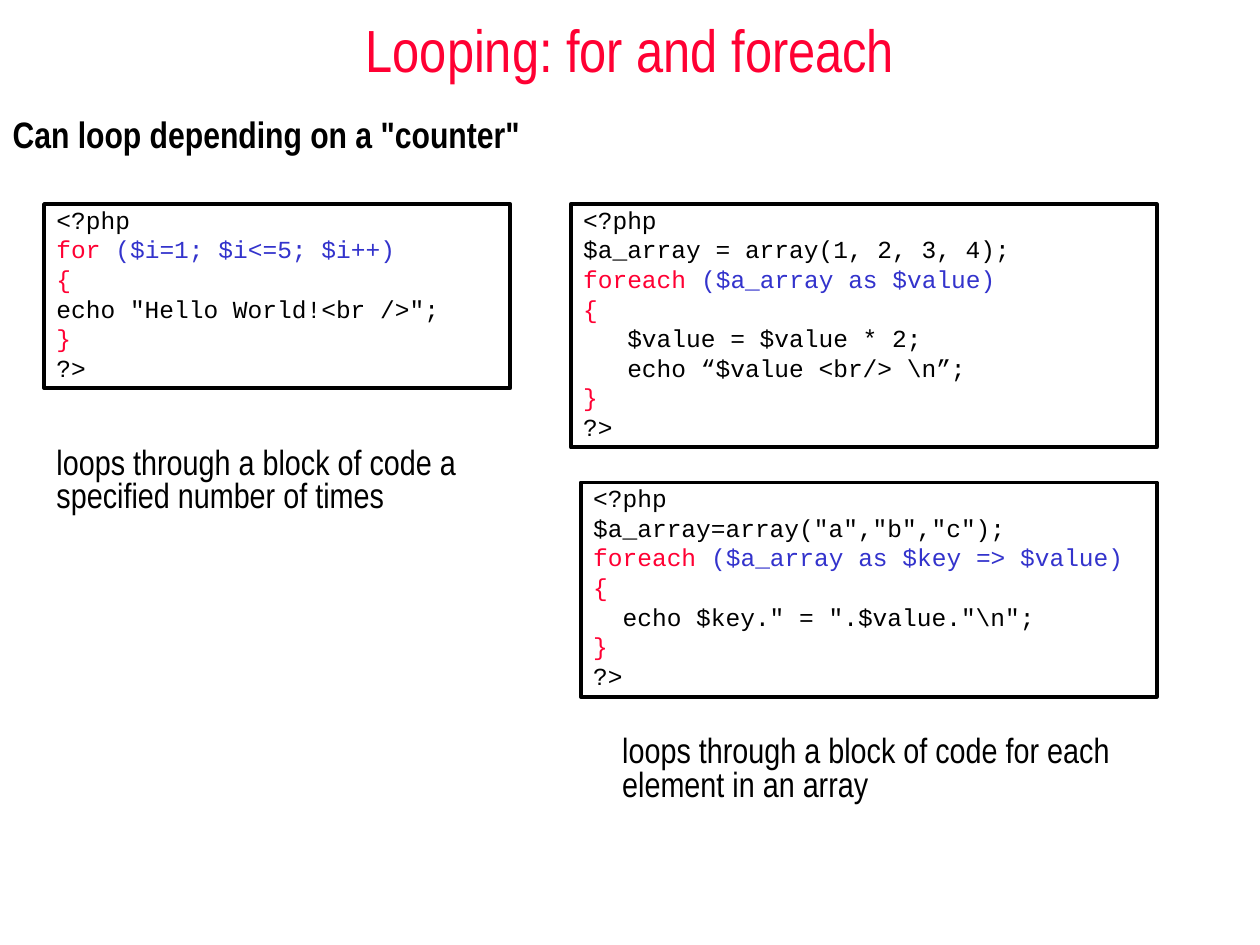
from pptx import Presentation
from pptx.dml.color import RGBColor
from pptx.enum.shapes import MSO_SHAPE
from pptx.enum.text import MSO_ANCHOR, MSO_AUTO_SIZE, PP_ALIGN
from pptx.oxml.ns import qn
from pptx.util import Inches, Pt
from lxml import etree

RECT = MSO_SHAPE.RECTANGLE
TOP, MIDDLE = MSO_ANCHOR.TOP, MSO_ANCHOR.MIDDLE
LEFT, CENTER = PP_ALIGN.LEFT, PP_ALIGN.CENTER
GROW, FIXED = MSO_AUTO_SIZE.SHAPE_TO_FIT_TEXT, MSO_AUTO_SIZE.NONE
BLACK, RED, BLUE = "000000", "FF0033", "3333CC"

# Content
TITLE = "Looping: for and foreach"
LEAD = 'Can loop depending on a "counter"'
CODE = [  # (left, top, width, height), lines
    ((0.35, 1.62, 3.7, 1.46), [
        "<?php",
        "for ($i=1; $i<=5; $i++)",
        "{",
        'echo "Hello World!<br />";',
        "}",
        "?>",
    ]),
    ((4.53, 1.62, 4.65, 1.93), [
        "<?php",
        "$a_array = array(1, 2, 3, 4);",
        "foreach ($a_array as $value)",
        "{",
        "   $value = $value * 2;",
        "   echo “$value <br/> \\n”;",
        "}",
        "?>",
    ]),
    ((4.61, 3.83, 4.57, 1.7), [
        "<?php",
        '$a_array=array("a","b","c");',
        "foreach ($a_array as $key => $value)",
        "{",
        '  echo $key." = ".$value."\\n";',
        "}",
        "?>",
    ]),
]
NOTES = [
    ((0.35, 3.51, 3.7, 0.64),
     "loops through a block of code a specified number of times"),
    ((4.84, 5.8, 4.17, 0.64),
     "loops through a block of code for each element in an array"),
]

# Formats
TITLE_FONT = {"name": "Arial Narrow", "size": Pt(34), "bold": False}
LEAD_FONT = {"name": "Arial Narrow", "size": Pt(21), "bold": True}
CODE_FONT = {"name": "Courier New", "size": Pt(14)}
NOTE_FONT = {"name": "Arial Narrow", "size": Pt(20)}
TITLE_PARA = {"alignment": CENTER}
LEAD_PARA = {"alignment": LEFT, "space_before": Pt(5.2)}
CODE_PARA = {"alignment": LEFT, "line_spacing": 0.8, "space_before": Pt(3.5)}
NOTE_PARA = {"alignment": LEFT, "line_spacing": 0.8, "space_before": Pt(5)}


def rgb(value):
    return RGBColor.from_string(value)


def set_all(obj, values):
    for name, value in values.items():
        setattr(obj, name, value)


def place(sp, box):
    for name, value in zip(("left", "top", "width", "height"), box):
        setattr(sp, name, Inches(value))


def color_runs(line):
    """Split a code line into (text, colour) runs."""
    word, space, rest = line.partition(" ")
    if word in ("for", "foreach"):
        return [(word + space, RED), (rest, BLUE)]
    return [(line, RED if line in ("{", "}") else BLACK)]


def write(sp, paragraphs, font, para, anchor=TOP, fit=GROW):
    tf = sp.text_frame
    set_all(tf, {"word_wrap": True, "auto_size": fit, "vertical_anchor": anchor})
    for i, runs in enumerate(paragraphs):
        p = tf.add_paragraph() if i else tf.paragraphs[0]
        set_all(p, para)
        for text, color in runs:
            r = p.add_run()
            r.text = text
            set_all(r.font, font)
            r.font.color.rgb = rgb(color)


prs = Presentation()
prs.slide_width, prs.slide_height = Inches(10), Inches(7.5)
s = prs.slides.add_slide(prs.slide_layouts[1])

# Title and lead line
title, lead = s.shapes.title, s.placeholders[1]
place(title, (0, 0, 10, 0.78))
write(title, [[(TITLE, RED)]], TITLE_FONT, TITLE_PARA, MIDDLE, FIXED)
place(lead, (0, 0.84, 10, 0.55))
write(lead, [[(LEAD, BLACK)]], LEAD_FONT, LEAD_PARA, fit=FIXED)
pPr = lead.text_frame.paragraphs[0]._p.get_or_add_pPr()
pPr.set("marL", str(Inches(0.35)))
pPr.set("indent", str(-Inches(0.35)))
etree.SubElement(pPr, qn("a:buNone"))

# Code boxes
for box, lines in CODE:
    sp = s.shapes.add_shape(RECT, *map(Inches, box))
    sp.shadow.inherit = False
    sp.fill.background()
    sp.line.color.rgb = rgb(BLACK)
    sp.line.width = Pt(2.25)
    write(sp, map(color_runs, lines), CODE_FONT, CODE_PARA)

# Explanations
for box, text in NOTES:
    sp = s.shapes.add_textbox(*map(Inches, box))
    write(sp, [[(text, BLACK)]], NOTE_FONT, NOTE_PARA)

prs.save("out.pptx")
